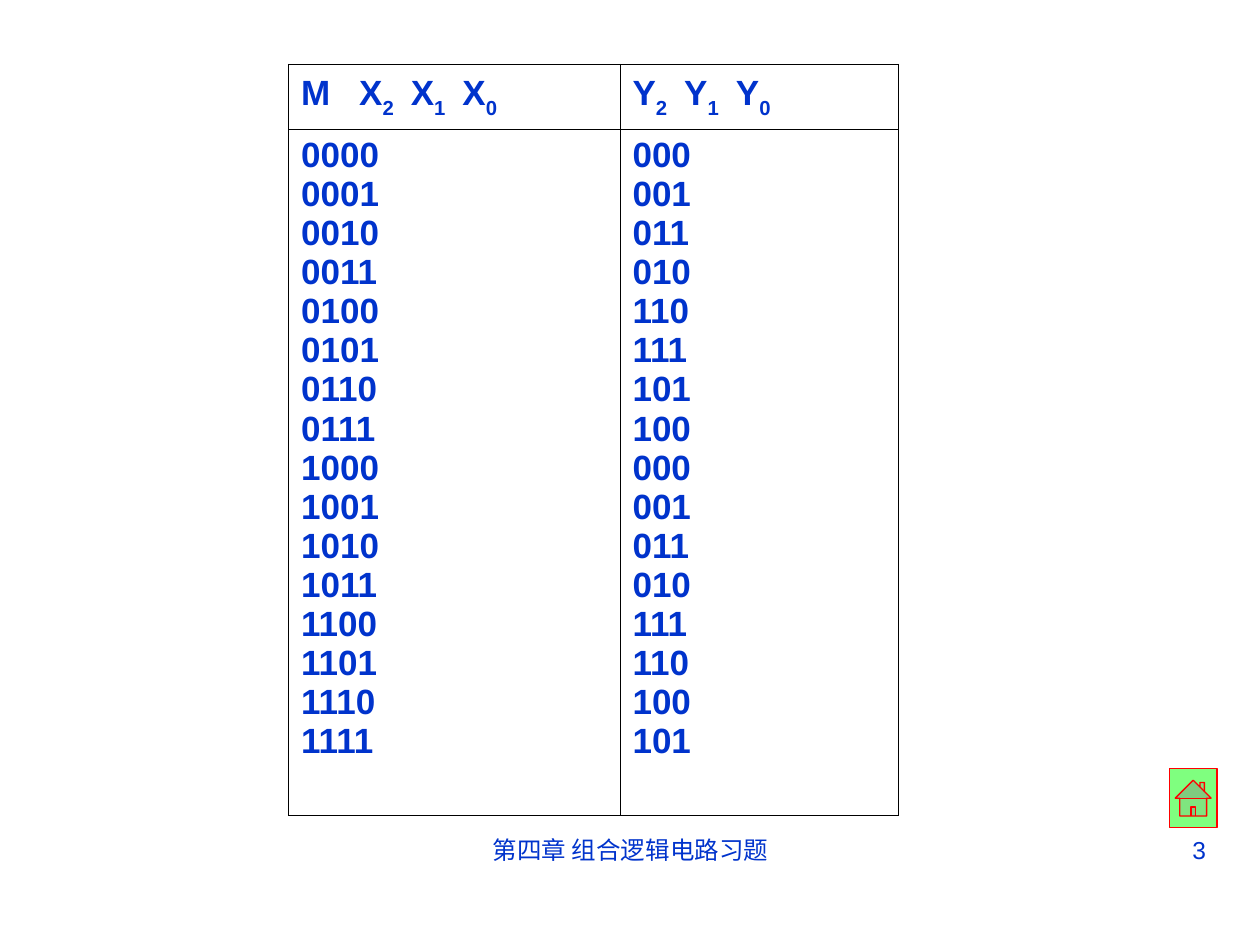
from pptx import Presentation, util as u
from pptx.dml.color import RGBColor
from pptx.enum import shapes, text
from pptx.oxml import parse_xml
from pptx.oxml.ns import nsdecls
from lxml import etree

BLUE = "0033CC"
INPUTS = [f"{number:04b}" for number in range(16)]
OUTPUTS = ["000", "001", "011", "010", "110", "111", "101", "100",
           "000", "001", "011", "010", "111", "110", "100", "101"]


def colour(value):
    """Turn a hex string into a colour."""
    return RGBColor.from_string(value)


def add_span(para, words, size, bold=False, subscript=False):
    """Add one formatted run to a paragraph."""
    span = para.add_run()
    span.text = words
    span.font.name = "Arial"
    span.font.size = u.Pt(size)
    span.font.bold = bold
    span.font.color.rgb = colour(BLUE)
    if subscript:
        span.font._element.set("baseline", "-30000")


def add_label(page, left, width, words, align):
    """Add a line of text at the foot of the page."""
    box = page.shapes.add_textbox(u.Inches(left), u.Inches(6.58), u.Inches(width), u.Inches(0.52))
    box.text_frame.word_wrap = True
    para = box.text_frame.paragraphs[0]
    para.alignment = align
    add_span(para, words, 14)


def add_home_button(page):
    """Add the translucent green home button."""
    button = page.shapes.add_shape(shapes.MSO_SHAPE.ACTION_BUTTON_HOME, u.Inches(9.28),
                                   u.Inches(6.1), u.Inches(0.38), u.Inches(0.47))
    button.shadow.inherit = False
    button.fill.solid()
    button.fill.fore_color.rgb = colour("00FF00")
    shade = button.fill._xPr.solidFill[0]
    etree.SubElement(shade, shade.tag.replace("srgbClr", "alpha"), val="50000")
    button.line.color.rgb = colour("FF0000")
    button.line.width = u.Pt(0.75)


def style_cell(cell):
    """Give a cell thin black borders and no fill."""
    properties = cell._tc.get_or_add_tcPr()
    for side in ("lnL", "lnR", "lnT", "lnB"):
        properties.append(parse_xml(
            f'<a:{side} {nsdecls("a")} w="{u.Pt(0.45)}"><a:solidFill>'
            f'<a:srgbClr val="000000"/></a:solidFill></a:{side}>'))
    cell.fill.background()


def fill_heading(cell, variables, stops):
    """Write variables with subscripts, lined up on tab stops."""
    cell.vertical_anchor = text.MSO_ANCHOR.MIDDLE
    para = cell.text_frame.paragraphs[0]
    tabs = "".join(f'<a:tab pos="{u.Inches(stop)}" algn="l"/>' for stop in stops)
    para._p.get_or_add_pPr().append(parse_xml(f'<a:tabLst {nsdecls("a")}>{tabs}</a:tabLst>'))
    for index, variable in enumerate(variables):
        add_span(para, ("\t" if index else "") + variable[0], 20, bold=True)
        if variable[1:]:
            add_span(para, variable[1:], 20, bold=True, subscript=True)


def fill_codes(cell, codes):
    """Write one code per paragraph."""
    frame = cell.text_frame
    for index, code in enumerate(codes):
        para = frame.add_paragraph() if index else frame.paragraphs[0]
        add_span(para, code, 20, bold=True)


def add_truth_table(page):
    """Add the table of input and output codes."""
    table = page.shapes.add_table(2, 2, u.Inches(2.29), u.Inches(0.51),
                                  u.Inches(4.84), u.Inches(5.96)).table
    table.first_row = table.horz_banding = False
    for column, width in zip(table.columns, (2.63, 2.21)):
        column.width = u.Inches(width)
    for row, height in zip(table.rows, (0.52, 5.44)):
        row.height = u.Inches(height)
    for cell in table.iter_cells():
        style_cell(cell)
    fill_heading(table.cell(0, 0), ["M", "X2", "X1", "X0"], [0.46, 0.87, 1.28])
    fill_heading(table.cell(0, 1), ["Y2", "Y1", "Y0"], [0.41, 0.82])
    fill_codes(table.cell(1, 0), INPUTS)
    fill_codes(table.cell(1, 1), OUTPUTS)


def main():
    """Build and save the deck."""
    deck = Presentation()
    deck.slide_width, deck.slide_height = u.Inches(10), u.Inches(7.5)
    page = deck.slides.add_slide(deck.slide_layouts[6])
    add_home_button(page)
    add_label(page, 3.42, 3.17, "第四章 组合逻辑电路习题", text.PP_ALIGN.CENTER)
    add_label(page, 7.17, 2.5, "3", text.PP_ALIGN.RIGHT)
    add_truth_table(page)
    deck.save("out.pptx")


if __name__ == "__main__":
    main()
